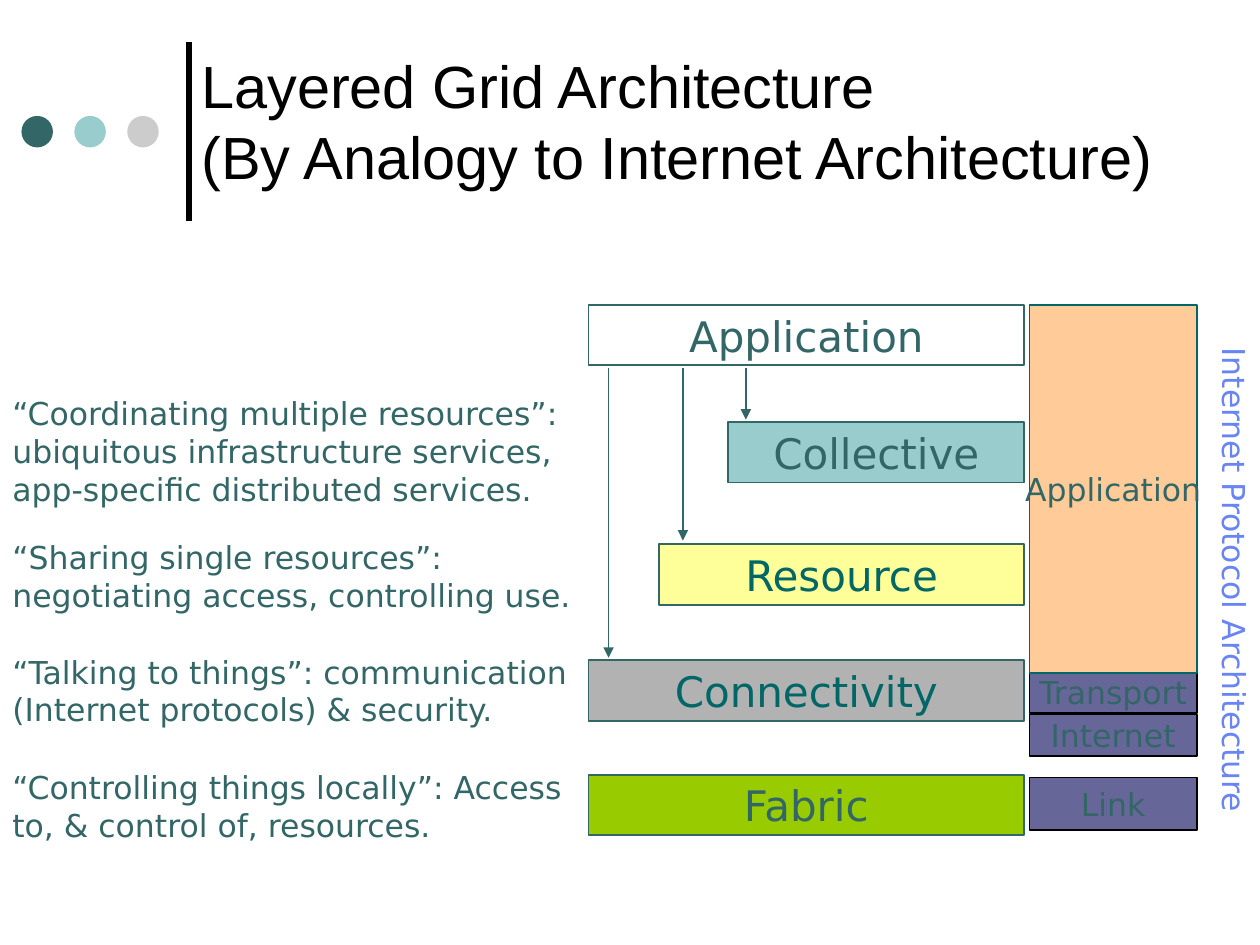
from pptx import Presentation
from pptx.dml.color import RGBColor
from pptx.enum.shapes import MSO_CONNECTOR as Conn, MSO_SHAPE as Shape
from pptx.enum.text import MSO_ANCHOR as Anchor, MSO_AUTO_SIZE as Auto, PP_ALIGN as Align
from pptx.oxml.ns import qn
from pptx.util import Inches, Pt
from lxml import etree

TEAL, DARK, AQUA, SLATE, BLACK = "336666", "006666", "99CCCC", "666699", "000000"
SANS = "DejaVu Sans"


def color(code):
    return RGBColor.from_string(code)


def write(shape, text, size, ink=TEAL, face=SANS, align=Align.LEFT):
    para = shape.text_frame.paragraphs[0]
    para.text = text
    para.alignment = align
    para.font.size = Pt(size)
    para.font.name = face
    para.font.color.rgb = color(ink)


def add_shape(slide, kind, area, fill=None, edge=None):
    shape = slide.shapes.add_shape(kind, *map(Inches, area))
    shape.shadow.inherit = False
    if fill:
        shape.fill.solid()
        shape.fill.fore_color.rgb = color(fill)
    else:
        shape.fill.background()
    if edge:
        shape.line.color.rgb = color(edge)
        shape.line.width = Pt(1)
    else:
        shape.line.fill.background()
    return shape


def add_box(slide, area, text, fill, size, edge=TEAL, ink=TEAL):
    box = add_shape(slide, Shape.RECTANGLE, area, fill, edge)
    box.text_frame.word_wrap = False
    box.text_frame.vertical_anchor = Anchor.MIDDLE
    write(box, text, size, ink, align=Align.CENTER)


def add_text(slide, area, text, size=18, ink=TEAL, face=SANS, wrap=True, grow=True):
    box = slide.shapes.add_textbox(*map(Inches, area))
    box.text_frame.word_wrap = wrap
    box.text_frame.auto_size = Auto.SHAPE_TO_FIT_TEXT if grow else Auto.NONE
    write(box, text, size, ink, face)
    return box


def add_line(slide, x, start, end, ink, width, arrow=False):
    line = slide.shapes.add_connector(
        Conn.STRAIGHT, Inches(x), Inches(start), Inches(x), Inches(end))
    line.line.color.rgb = color(ink)
    line.line.width = Pt(width)
    if arrow:
        etree.SubElement(line.line._get_or_add_ln(), qn("a:tailEnd"), type="triangle")
    etree.SubElement(line._element.spPr, qn("a:effectLst"))


def add_head(slide):
    add_line(slide, 1.5, 1.75, 0.33, BLACK, 3)
    for i, fill in enumerate((TEAL, AQUA, "CCCCCC")):
        add_shape(slide, Shape.OVAL, (0.17 + 0.42 * i, 0.92, 0.25, 0.25), fill)
    title = add_text(
        slide, (1.5, 0.74, 8.42, 0.83),
        "Layered Grid Architecture\n(By Analogy to Internet Architecture)",
        34, BLACK, "Arial", grow=False)
    title.text_frame.vertical_anchor = Anchor.BOTTOM


def add_grid(slide):
    # Layers share a right edge: name, left, top, fill, ink
    right = 8.13
    layers = (
        ("Application", 4.67, 2.42, None, TEAL),
        ("Collective", 5.78, 3.35, AQUA, TEAL),
        ("Resource", 5.23, 4.32, "FFFF99", DARK),
        ("Connectivity", 4.67, 5.24, "B2B2B2", DARK),
        ("Fabric", 4.67, 6.15, "99CC00", TEAL),
    )
    for name, left, top, fill, ink in layers:
        add_box(slide, (left, top, right - left, 0.48), name, fill, 24, ink=ink)

    # Arrows from the application down to the layers it uses
    for x, end in ((4.83, 5.22), (5.42, 4.29), (5.92, 3.33)):
        add_line(slide, x, 2.92, end, TEAL, 1, arrow=True)

    # Role of each layer
    roles = (
        (3.08, 1, "“Coordinating multiple resources”: ubiquitous infrastructure "
                  "services, app-specific distributed services."),
        (4.22, 0.7, "“Sharing single resources”: negotiating access, controlling use."),
        (5.13, 0.7, "“Talking to things”: communication (Internet protocols) & security."),
        (6.05, 0.7, "“Controlling things locally”: Access to, & control of, resources."),
    )
    for top, height, text in roles:
        add_text(slide, (0, top, 4.67, height), text)


def add_stack(slide):
    # Internet protocol layers: name, top, height, fill, edge
    layers = (
        ("Internet", 5.67, 0.33, SLATE, BLACK),
        ("Transport", 5.33, 0.33, SLATE, BLACK),
        ("Application", 2.42, 2.92, "FFCC99", DARK),
        ("Link", 6.17, 0.42, SLATE, BLACK),
    )
    for name, top, height, fill, edge in layers:
        add_box(slide, (8.17, top, 1.33, height), name, fill, 18, edge)
    side = add_text(slide, (9.5, 2.66, 0.5, 3.84),
                    "Internet Protocol Architecture", ink="6984F5", wrap=False)
    side.text_frame._txBody.bodyPr.set("vert", "eaVert")


def main():
    deck = Presentation()
    deck.slide_width, deck.slide_height = Inches(10), Inches(7.5)
    slide = deck.slides.add_slide(deck.slide_layouts[6])
    add_head(slide)
    add_grid(slide)
    add_stack(slide)
    deck.save("out.pptx")


if __name__ == "__main__":
    main()
